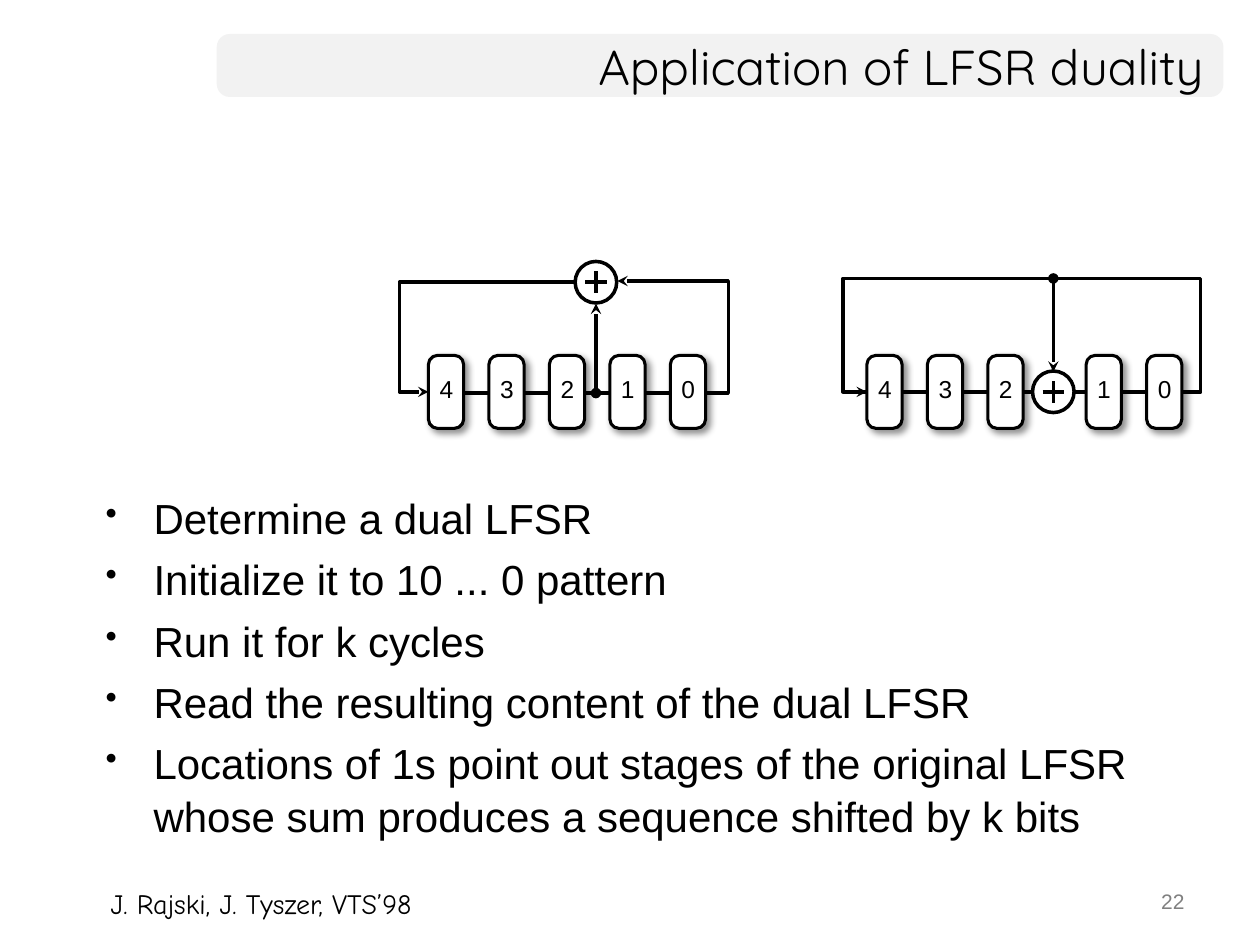
from lxml.etree import SubElement
from pptx import Presentation
from pptx.dml.color import RGBColor
from pptx.enum.shapes import MSO_CONNECTOR, MSO_SHAPE
from pptx.enum.text import MSO_ANCHOR, PP_ALIGN
from pptx.oxml.ns import qn
from pptx.util import Inches, Pt

BLACK = RGBColor(0, 0, 0)
WHITE = RGBColor(255, 255, 255)
PALE = RGBColor(0xF2, 0xF2, 0xF2)
GRAY = RGBColor(0x80, 0x80, 0x80)

STEP = 0.48  # distance between register stages


class Pen:
    """Holds the style and the current slide."""

    font = "Arial"
    width = 2

    def __init__(self, slide):
        self.slide = slide

    def stroke(self, line, width=width, head=None, tail=None):
        line.color.rgb = BLACK
        line.width = Pt(width)
        ln = line._get_or_add_ln()
        for tag, kind in (("a:headEnd", head), ("a:tailEnd", tail)):
            if kind:
                SubElement(ln, qn(tag), type=kind)

    def shape(self, kind, box, fill=None, width=width, adj=None, home=None):
        shapes = (home or self.slide).shapes
        item = shapes.add_shape(kind, *map(Inches, box))
        item.shadow.inherit = False
        if adj is not None:
            item.adjustments[0] = adj
        if fill is None:
            item.fill.background()
        else:
            item.fill.solid()
            item.fill.fore_color.rgb = fill
        if width:
            self.stroke(item.line, width)
        else:
            item.line.fill.background()
        return item

    def line(self, start, end, head=None, tail=None, home=None):
        shapes = (home or self.slide).shapes
        item = shapes.add_connector(
            MSO_CONNECTOR.STRAIGHT, *map(Inches, (*start, *end)))
        self.stroke(item.line, self.width, head, tail)
        SubElement(item._element.spPr, qn("a:effectLst"))

    def route(self, *points):
        """Bent wire that ends in an arrowhead."""
        first, *rest = [tuple(map(Inches, point)) for point in points]
        build = self.slide.shapes.build_freeform(*first)
        build.add_line_segments(rest, close=False)
        item = build.convert_to_shape()
        item.shadow.inherit = False
        item.fill.background()
        self.stroke(item.line, self.width, tail="stealth")

    def text(self, box, words, size, font=font, color=BLACK,
             align=PP_ALIGN.LEFT, anchor=MSO_ANCHOR.TOP, wrap=False):
        frame = self.slide.shapes.add_textbox(*map(Inches, box)).text_frame
        frame.word_wrap = wrap
        frame.vertical_anchor = anchor
        frame.text = words
        para = frame.paragraphs[0]
        para.alignment = align
        self.style(para, size, font, color)

    def style(self, para, size, font=font, color=BLACK):
        para.font.size = Pt(size)
        para.font.name = font
        para.font.color.rgb = color

    def bullets(self, box, items, size):
        frame = self.slide.shapes.add_textbox(*map(Inches, box)).text_frame
        frame.word_wrap = True
        frame.text = "\n".join(items)
        for i, para in enumerate(frame.paragraphs):
            para.line_spacing = 1.05
            para.space_before = Pt(4.8 if i else 0)
            props = para._p.get_or_add_pPr()
            props.set("marL", str(Inches(0.38)))
            props.set("indent", str(-Inches(0.38)))
            SubElement(props, qn("a:buSzPct"), val="80000")
            SubElement(props, qn("a:buChar"), char="•")
            self.style(para, size)

    def stage(self, left, label):
        """One register cell with a soft shadow and its number."""
        cell = self.shape(MSO_SHAPE.ROUNDED_RECTANGLE,
                          (left, 2.82, 0.28, 0.58), WHITE, 1.75, 0.262)
        effect = cell._element.spPr.find(qn("a:effectLst"))
        shade = SubElement(effect, qn("a:outerShdw"), blurRad=str(Pt(4)),
                           dist=str(Pt(3)), dir="2700000", algn="tl",
                           rotWithShape="0")
        color = SubElement(shade, qn("a:srgbClr"), val=str(BLACK))
        SubElement(color, qn("a:alpha"), val="43000")
        self.text((left - 0.01, 2.92, 0.31, 0.34), label, 14)

    def adder(self, x, y):
        """Circled plus centred on x, y."""
        group = self.slide.shapes.add_group_shape()
        rad, arm = 0.165, 0.085
        self.shape(MSO_SHAPE.OVAL, (x - rad, y - rad, 2 * rad, 2 * rad),
                   WHITE, home=group)
        self.line((x, y - arm), (x, y + arm), home=group)
        self.line((x - arm, y), (x + arm, y), home=group)


def main():
    deck = Presentation()
    deck.slide_width, deck.slide_height = Inches(10), Inches(7.5)
    pen = Pen(deck.slides.add_slide(deck.slide_layouts[6]))

    # Title bar and page number
    pen.shape(MSO_SHAPE.ROUNDED_RECTANGLE, (1.72, 0.27, 7.99, 0.5),
              PALE, 0, 0.208)
    pen.text((7.17, 7, 2.33, 0.35), "22", 12, color=GRAY,
             align=PP_ALIGN.RIGHT, wrap=True)
    pen.text((1.72, 0.27, 7.93, 0.5), "Application of LFSR duality", 28,
             "Quicksand", align=PP_ALIGN.RIGHT, anchor=MSO_ANCHOR.MIDDLE,
             wrap=True)

    # Steps
    pen.bullets((0.74, 3.84, 8.35, 2.84), (
        "Determine a dual LFSR",
        "Initialize it to 10 ... 0 pattern",
        "Run it for k cycles",
        "Read the resulting content of the dual LFSR",
        "Locations of 1s point out stages of the original LFSR "
        "whose sum produces a sequence shifted by k bits",
    ), 24)

    # Original register: adder in the feedback path
    pen.route((3.44, 3.12), (5.78, 3.12), (5.78, 2.23), (4.9, 2.23))
    pen.route((4.86, 2.24), (3.17, 2.24), (3.17, 3.11), (3.4, 3.11))
    pen.adder(4.73, 2.24)
    pen.line((4.73, 3.12), (4.73, 2.41), "oval", "stealth")
    for i, label in enumerate("43210"):
        pen.stage(3.4 + i * STEP, label)

    # Dual register: adder between stages 2 and 1
    pen.shape(MSO_SHAPE.RECTANGLE, (6.69, 2.21, 2.84, 0.9))
    pen.line((8.36, 2.21), (8.36, 2.95), "oval", "stealth")
    pen.adder(8.36, 3.11)
    for left, labels in ((6.88, "432"), (8.62, "10")):
        for i, label in enumerate(labels):
            pen.stage(left + i * STEP, label)
    pen.line((6.7, 3.11), (6.88, 3.11), tail="stealth")

    # Reference
    pen.text((0.78, 6.99, 3.14, 0.37), "J. Rajski, J. Tyszer, VTS’98", 16,
             "Comic Neue")

    deck.save("out.pptx")


if __name__ == "__main__":
    main()
